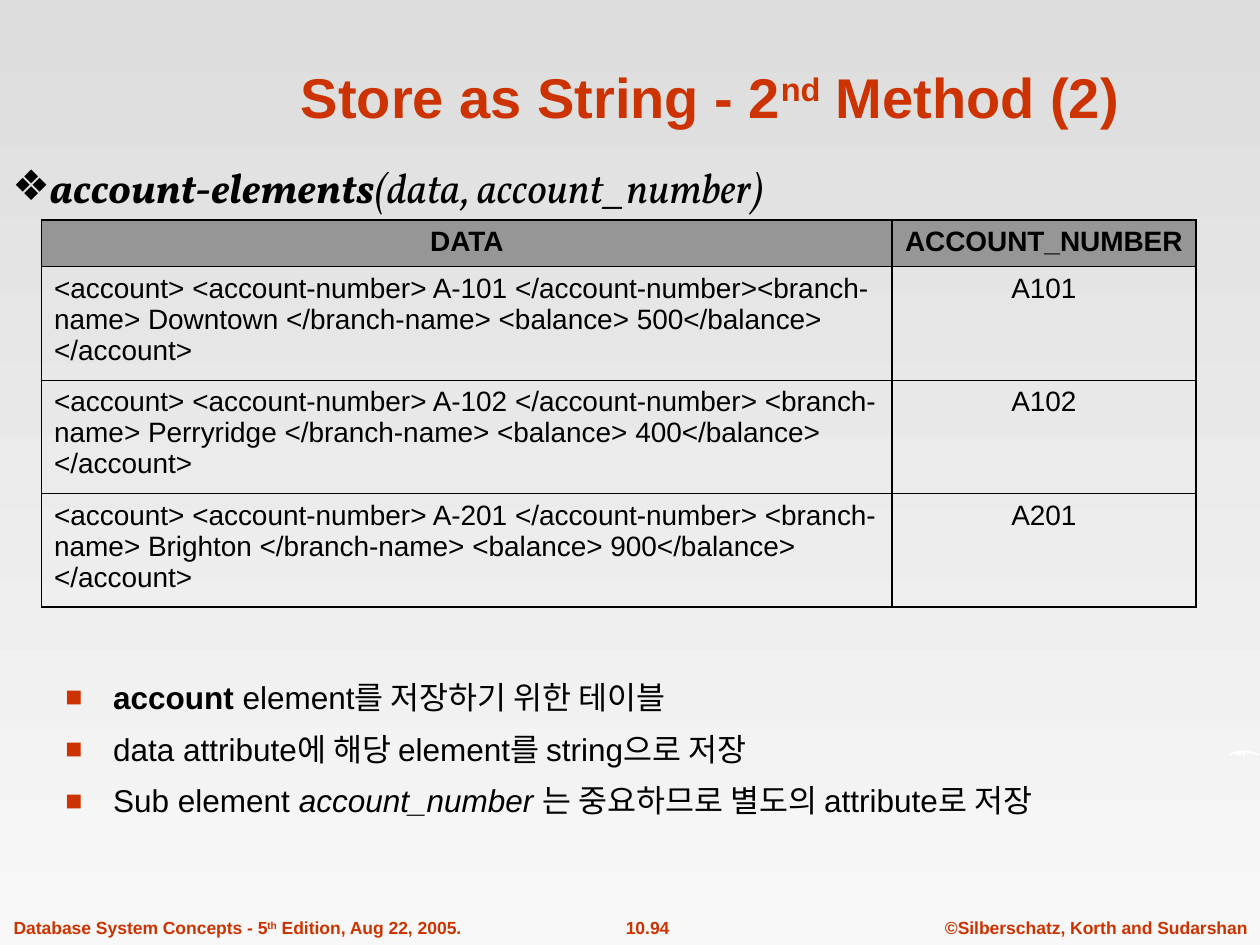
from lxml import etree
from pptx import Presentation
from pptx.dml.color import RGBColor as RGB
from pptx.enum.text import MSO_ANCHOR as ANCHOR, PP_ALIGN as ALIGN
from pptx.oxml.ns import qn
from pptx.util import Inches, Pt

W, H = 10, 7.5
RED, BLACK, GREY, WHITE = "CC3300", "000000", "969696", "FFFFFF"
BOLD, PLAIN, SUPER = {"bold": True}, {"bold": False}, {"bold": True, "base": 30}


def color(value):
    """Turn a hex string into a colour."""
    return RGB.from_string(value)


def place(box):
    """Turn shares of the slide into left, top, width and height."""
    return [Inches(share * side) for share, side in zip(box, (W, H, W, H))]


def add_child(parent, tag, **attrs):
    """Append an element with attributes."""
    child = etree.SubElement(parent, qn(tag))
    for key, value in attrs.items():
        child.set(key, str(value))
    return child


def add_bullet(p, char, tint, size=100, indent=0):
    """Give a paragraph a bullet and a hanging indent."""
    pPr = p._p.get_or_add_pPr()
    pPr.set("marL", str(Inches(indent)))
    pPr.set("indent", str(-Inches(indent)))
    add_child(add_child(pPr, "a:buClr"), "a:srgbClr", val=tint)
    add_child(pPr, "a:buSzPct", val=size * 1000)
    add_child(pPr, "a:buFont", typeface="Arial")
    add_child(pPr, "a:buChar", char=char)


def write_runs(p, runs, size, tint, name="Arial"):
    """Write (text, format) runs into a paragraph."""
    for text, extra in runs:
        r = p.add_run()
        r.text = text
        values = {"name": name, "size": Pt(size), **extra}
        base = values.pop("base", 0)
        for key, value in values.items():
            setattr(r.font, key, value)
        r.font.color.rgb = color(tint)
        if base:
            r._r.get_or_add_rPr().set("baseline", str(base * 1000))


def add_text(s, box, lines, size, tint, name="Arial", align=ALIGN.LEFT,
             anchor=ANCHOR.TOP, wrap=True, gap=0, bullet=None):
    """Place a text box with one paragraph for each list of runs."""
    tf = s.shapes.add_textbox(*place(box)).text_frame
    tf.word_wrap, tf.vertical_anchor = wrap, anchor
    for i, runs in enumerate(lines):
        p = tf.add_paragraph() if i else tf.paragraphs[0]
        p.alignment = align
        if bullet:
            add_bullet(p, **bullet)
        if i:
            p.space_before = Pt(gap)
        write_runs(p, runs, size, tint, name)


def add_backdrop(s):
    """Shade the slide from grey at the top to near white."""
    fill = s.background.fill
    fill.gradient()
    fill.gradient_angle = 270
    for stop, tint in zip(fill.gradient_stops, ("DDDDDD", "F8F8F8")):
        stop.color.rgb = color(tint)


def add_wisp(s, box):
    """Draw the small white curve at the right edge."""
    outline = [(0, 1), (.08, .5), (.2, .2), (.4, 0), (.64, .1), (.84, .35),
               (1, .55), (.92, .7), (.72, .5), (.52, .35), (.52, .9),
               (.4, .35), (.4, .9), (.3, .35), (.32, .9), (.2, .5),
               (.08, .75)]
    left, top, width, height = place(box)
    points = [(left + x * width, top + y * height) for x, y in outline]
    builder = s.shapes.build_freeform(*points[0])
    builder.add_line_segments(points[1:])
    sp = builder.convert_to_shape()
    sp.shadow.inherit = False
    sp.fill.solid()
    sp.fill.fore_color.rgb = color(WHITE)
    sp.line.fill.background()


def add_footer(s, top, height):
    """Place the book, page and authors along the foot."""
    parts = [
        (.001, .376, ALIGN.LEFT, [("Database System Concepts - 5", BOLD),
                                  ("th", SUPER),
                                  (" Edition, Aug 22, 2005.", BOLD)]),
        (.461, .106, ALIGN.CENTER, [("10.94", BOLD)]),
        (.74, .26, ALIGN.CENTER,
         [("©Silberschatz, Korth and Sudarshan", BOLD)]),
    ]
    for left, width, align, runs in parts:
        add_text(s, (left, top, width, height), [runs], 10, RED,
                 align=align, wrap=False)


def set_borders(cell, widths):
    """Draw the left, right, top and bottom borders of a cell."""
    tcPr = cell._tc.get_or_add_tcPr()
    for i, (side, width) in enumerate(zip("LRTB", widths)):
        ln = add_child(tcPr, f"a:ln{side}", w=Pt(width))
        add_child(add_child(ln, "a:solidFill"), "a:srgbClr", val=BLACK)
        tcPr.insert(i, ln)


def add_accounts(s, box, rows, cols, heights):
    """Place the table of stored account elements."""
    thick, thin = 1.08, .45
    table = s.shapes.add_table(len(rows), len(cols), *place(box)).table
    table.first_row = table.horz_banding = False
    for column, width in zip(table.columns, cols):
        column.width = Inches(width)
    for i, (row, height) in enumerate(zip(rows, heights)):
        table.rows[i].height = Inches(height)
        for j, text in enumerate(row):
            cell = table.cell(i, j)
            if i:
                cell.fill.background()
            else:
                cell.fill.solid()
                cell.fill.fore_color.rgb = color(GREY)
            top = thin if i else thick
            bottom = thick if i == len(rows) - 1 else thin
            set_borders(cell, (thick, thick, top, bottom))
            p = cell.text_frame.paragraphs[0]
            p.alignment = ALIGN.LEFT if i and not j else ALIGN.CENTER
            write_runs(p, [(text, PLAIN if i else BOLD)], 16, BLACK)


def account(number, gap, branch, balance):
    """Write one account as an XML string."""
    return (f"<account> <account-number> {number} </account-number>{gap}"
            f"<branch-name> {branch} </branch-name> "
            f"<balance> {balance}</balance> </account>")


def main():
    """Build the slide."""
    prs = Presentation()
    prs.slide_width, prs.slide_height = Inches(W), Inches(H)
    s = prs.slides.add_slide(prs.slide_layouts[6])
    add_backdrop(s)
    add_footer(s, .964, .036)
    add_wisp(s, (.975, .794, .025, .007))
    add_text(s, (.154, .019, .819, .125),
             [[("Store as String - 2", BOLD), ("nd", SUPER),
               (" Method (2)", BOLD)]],
             32, RED, align=ALIGN.CENTER, anchor=ANCHOR.BOTTOM)
    rows = [("DATA", "ACCOUNT_NUMBER"),
            (account("A-101", "", "Downtown", 500), "A101"),
            (account("A-102", " ", "Perryridge", 400), "A102"),
            (account("A-201", " ", "Brighton", 900), "A201")]
    add_accounts(s, (.033, .233, .917, .41), rows, (6.75, 2.41),
                 (.37, .9, .9, .9))
    add_text(s, (0, .164, .718, .067),
             [[("account-elements", {"bold": True, "italic": True}),
               ("(data, account_number)", {"bold": False, "italic": True})]],
             24, BLACK, "Vollkorn", wrap=False,
             bullet={"char": "❖", "tint": BLACK})
    notes = [[("account", BOLD), (" element를 저장하기 위한 테이블", PLAIN)],
             [("data attribute에 해당 element를 string으로 저장", PLAIN)],
             [("Sub element ", PLAIN), ("account_number ", {"italic": True}),
              ("는 중요하므로 별도의 attribute로 저장", PLAIN)]]
    add_text(s, (.042, .711, .867, .211), notes, 18, BLACK, gap=7.9,
             bullet={"char": "■", "tint": RED, "size": 90, "indent": .38})
    prs.save("out.pptx")


if __name__ == "__main__":
    main()
